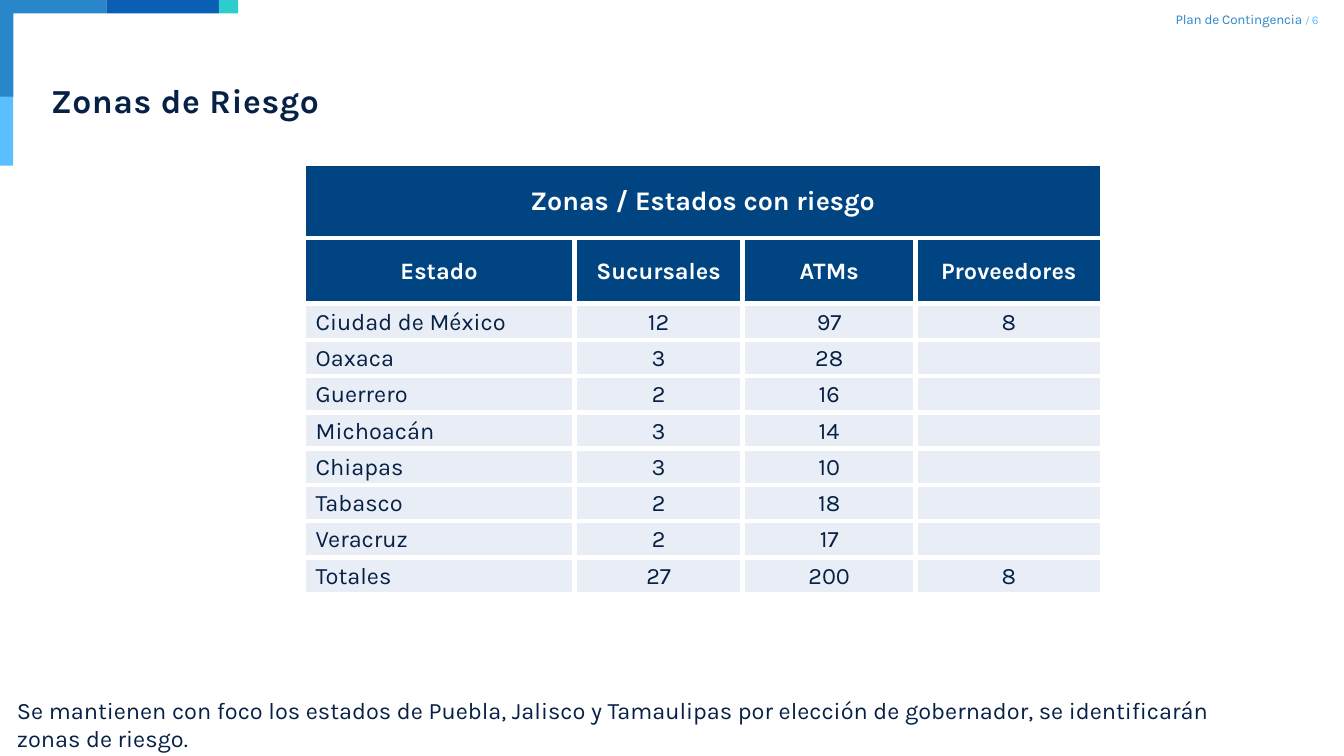
from typing import NamedTuple

from lxml.etree import SubElement
from pptx import Presentation
from pptx.dml.color import RGBColor
from pptx.enum.shapes import MSO_SHAPE as Preset
from pptx.enum.text import MSO_ANCHOR as Anchor, PP_ALIGN as Align
from pptx.oxml.ns import qn
from pptx.util import Inches, Pt

FONT = "Karla"
NAVY, BLUE, PALE, WHITE = "072146", "004481", "E8EDF6", "FFFFFF"
MID_BLUE, SKY = "2A86CA", "5BBEFF"


class Bar(NamedTuple):
    left: float
    top: float
    width: float
    height: float
    color: str


class Span(NamedTuple):
    text: str
    size: float
    color: str
    spacing: int = 0  # hundredths of a point


BARS = [
    Bar(-0.04, 0.8, 0.15, 0.57, SKY),
    Bar(0.88, -0.01, 0.93, 0.12, "0A5FB4"),
    Bar(1.81, -0.01, 0.16, 0.12, "2DCCCD"),
]
CORNER = [(-0.04, -0.01), (0.88, -0.01), (0.88, 0.11), (0.11, 0.11), (0.11, 0.8), (-0.04, 0.8)]

COLUMN_WIDTHS = [2.24, 1.39, 1.43, 1.54]
ROWS = [
    ["Zonas / Estados con riesgo", "", "", ""],
    ["Estado", "Sucursales", "ATMs", "Proveedores"],
    ["Ciudad de México", "12", "97", "8"],
    ["Oaxaca", "3", "28", ""],
    ["Guerrero", "2", "16", ""],
    ["Michoacán", "3", "14", ""],
    ["Chiapas", "3", "10", ""],
    ["Tabasco", "2", "18", ""],
    ["Veracruz", "2", "17", ""],
    ["Totales", "27", "200", "8"],
]
HEADER_HEIGHTS = [0.62, 0.54]
ROW_HEIGHT = 0.3


def rgb(color: str) -> RGBColor:
    return RGBColor.from_string(color)


def paint(shape, color: str) -> None:
    shape.shadow.inherit = False
    shape.fill.solid()
    shape.fill.fore_color.rgb = rgb(color)
    shape.line.fill.background()


def set_font(font, size: float, color: str, bold: bool = False) -> None:
    font.name, font.size, font.bold = FONT, Pt(size), bold
    font.color.rgb = rgb(color)


def add_text(page, left: float, top: float, width: float, height: float, spans: list[Span],
             align=Align.LEFT, anchor=Anchor.TOP, bold: bool = False,
             inset: tuple[float, float] = (0, 0)) -> None:
    box = page.shapes.add_textbox(Inches(left), Inches(top), Inches(width), Inches(height))
    frame = box.text_frame
    frame.word_wrap, frame.vertical_anchor = True, anchor
    frame.margin_left = frame.margin_right = Inches(inset[0])
    frame.margin_top = frame.margin_bottom = Inches(inset[1])
    para = frame.paragraphs[0]
    para.alignment = align
    if len(spans) == 1:
        set_font(para.font, spans[0].size, spans[0].color, bold)
    for span in spans:
        run = para.add_run()
        run.text = span.text
        if len(spans) > 1:
            set_font(run.font, span.size, span.color, bold)
        if span.spacing:
            run.font._element.set("spc", str(span.spacing))


def add_borders(cell, color: str, points: float) -> None:
    properties = cell._tc.get_or_add_tcPr()
    for side in ("lnL", "lnR", "lnT", "lnB"):
        line = SubElement(properties, qn(f"a:{side}"), w=str(Pt(points)))
        SubElement(SubElement(line, qn("a:solidFill")), qn("a:srgbClr"), val=color)


def add_corner(page) -> None:
    points = [(Inches(x), Inches(y)) for x, y in CORNER]
    builder = page.shapes.build_freeform(*points[0])
    builder.add_line_segments(points[1:], close=True)
    paint(builder.convert_to_shape(), MID_BLUE)
    for bar in BARS:
        shape = page.shapes.add_shape(Preset.RECTANGLE, Inches(bar.left), Inches(bar.top),
                                      Inches(bar.width), Inches(bar.height))
        paint(shape, bar.color)


def fill_cell(cell, text: str, row: int, column: int) -> None:
    header = row < len(HEADER_HEIGHTS)
    add_borders(cell, WHITE, 3)
    cell.fill.solid()
    cell.fill.fore_color.rgb = rgb(BLUE if header else PALE)
    cell.vertical_anchor = Anchor.MIDDLE
    cell.margin_left = cell.margin_right = cell.margin_top = Inches(0.01)
    cell.margin_bottom = 0
    para = cell.text_frame.paragraphs[0]
    set_font(para.font, 16 if row == 0 else 14, WHITE if header else NAVY, header)
    if header or column > 0:
        para.alignment = Align.CENTER
    else:
        para._p.get_or_add_pPr().set("marL", str(Inches(0.09)))
    if text:
        para.add_run().text = text


def add_risk_table(page) -> None:
    heights = HEADER_HEIGHTS + [ROW_HEIGHT] * (len(ROWS) - len(HEADER_HEIGHTS))
    frame = page.shapes.add_table(len(ROWS), len(COLUMN_WIDTHS), Inches(2.51), Inches(1.35),
                                  Inches(sum(COLUMN_WIDTHS)), Inches(sum(heights)))
    table = frame.table
    table.first_row = table.horz_banding = False
    for column, width in zip(table.columns, COLUMN_WIDTHS):
        column.width = Inches(width)
    for row, height in zip(table.rows, heights):
        row.height = Inches(height)
    for row, texts in enumerate(ROWS):
        for column, text in enumerate(texts):
            fill_cell(table.cell(row, column), text, row, column)
    table.cell(0, 0).merge(table.cell(0, len(COLUMN_WIDTHS) - 1))


def main() -> None:
    deck = Presentation()
    deck.slide_width, deck.slide_height = Inches(11.11), Inches(6.25)
    page = deck.slides.add_slide(deck.slide_layouts[6])

    # Running header and corner decoration
    add_text(page, 9.42, 0.09, 1.48, 0.13,
             [Span("Plan de Contingencia ", 8, MID_BLUE, -10), Span("/ ", 6, SKY, -10),
              Span("6", 7, SKY)], align=Align.RIGHT)
    add_corner(page)

    # Title, table and closing remark
    add_text(page, 0.38, 0.64, 10.16, 0.38, [Span("Zonas de Riesgo", 20, NAVY, 30)],
             bold=True, inset=(0.04, 0.02))
    add_risk_table(page)
    add_text(page, 0.14, 5.83, 9.87, 0.31,
             [Span("Se mantienen con foco los estados de Puebla, Jalisco y Tamaulipas por elección "
                   "de gobernador, se identificarán zonas de riesgo.", 14, NAVY)],
             anchor=Anchor.MIDDLE)

    deck.save("out.pptx")


if __name__ == "__main__":
    main()
